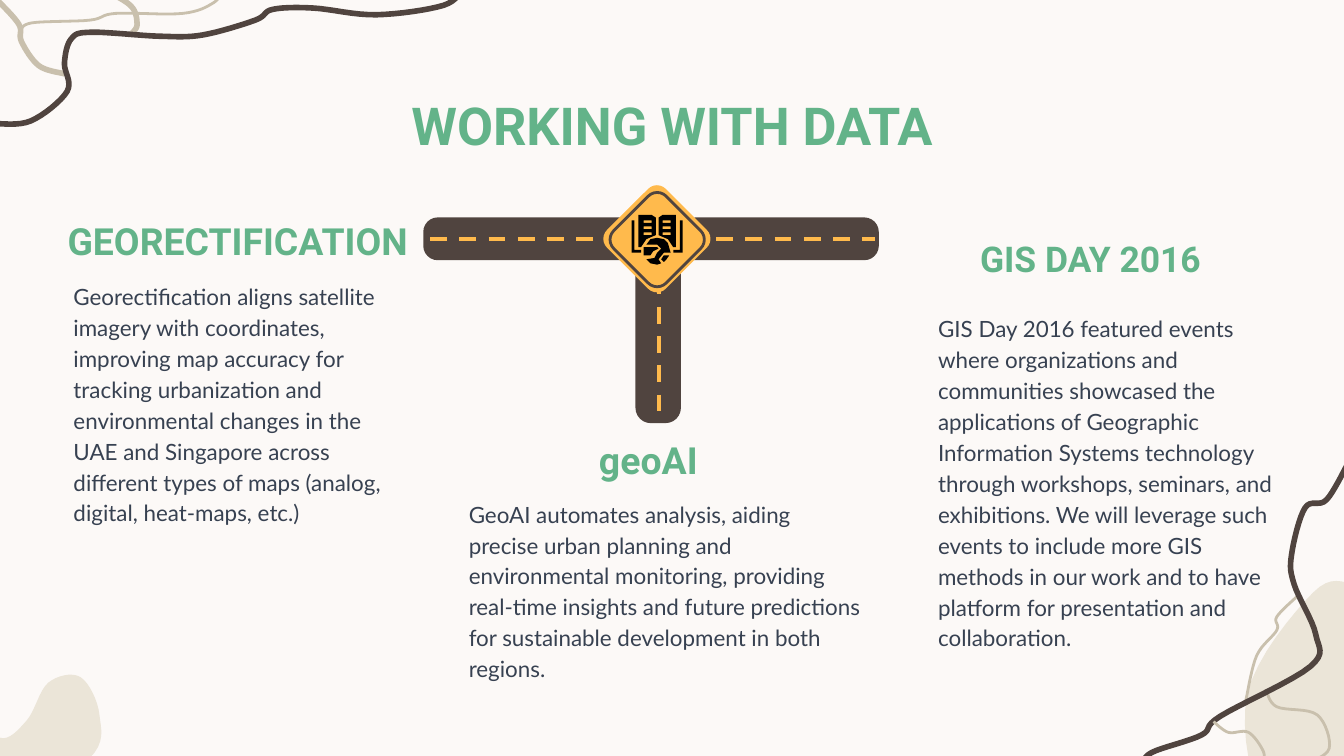
import lxml.etree
import pptx
import pptx.dml.color
import pptx.enum.dml
import pptx.enum.shapes
import pptx.enum.text
import pptx.oxml.ns
import pptx.util

Cm = pptx.util.Cm
Pt = pptx.util.Pt
RGBColor = pptx.dml.color.RGBColor
SHAPE = pptx.enum.shapes.MSO_SHAPE
ANCHOR = pptx.enum.text.MSO_ANCHOR

CREAM = RGBColor(0xFC, 0xF9, 0xF7)
SAND = RGBColor(0xEB, 0xE5, 0xD8)
KHAKI = RGBColor(0xC9, 0xC0, 0xAD)
ASPHALT = RGBColor(0x50, 0x44, 0x3F)
AMBER = RGBColor(0xFF, 0xBA, 0x4C)
GREEN = RGBColor(0x63, 0xB3, 0x89)
SLATE = RGBColor(0x37, 0x41, 0x51)
BLACK = RGBColor(0, 0, 0)

UNIT = Cm(2.54) / 100  # grid unit of the outlines below
STEPS = 8  # straight pieces between two knots

deck = pptx.Presentation()
deck.slide_width = Cm(25.4)
deck.slide_height = Cm(14.29)
page = deck.slides.add_slide(deck.slide_layouts[6])
page.background.fill.solid()
page.background.fill.fore_color.rgb = CREAM


def smooth(knots, closed=False):
    """Run a Catmull-Rom spline through the knots."""
    if closed:
        knots = [knots[-1], *knots, *knots[:2]]
    else:
        knots = [knots[0], *knots, knots[-1]]
    points = [knots[1]]
    for a, b, c, d in zip(knots, knots[1:], knots[2:], knots[3:]):
        for step in range(1, STEPS + 1):
            t = step / STEPS
            points.append(tuple(
                b[i] + t / 2 * (c[i] - a[i] + t * (2 * a[i] - 5 * b[i] + 4 * c[i] - d[i]
                                + t * (3 * (b[i] - c[i]) + d[i] - a[i])))
                for i in (0, 1)))
    return points


def outline(contours, color, width=None):
    """Draw filled closed contours, or open strokes when a width is given."""
    builder = None
    for contour in contours:
        points = [(x * UNIT, y * UNIT) for x, y in contour]
        if builder is None:
            builder = page.shapes.build_freeform(*points[0])
        else:
            builder.move_to(*points[0])
        builder.add_line_segments(points[1:], close=width is None)
    shape = builder.convert_to_shape()
    shape.shadow.inherit = False
    if width is None:
        shape.fill.solid()
        shape.fill.fore_color.rgb = color
        shape.line.fill.background()
    else:
        shape.fill.background()
        shape.line.color.rgb = color
        shape.line.width = Pt(width)


# Corner decoration: blobs, then wavy strokes
blobs = [
    [(1038, 450), (1009, 435), (977, 441), (928, 517), (943, 605), (1000, 640),
     (1083, 630), (1110, 565)],
    [(-60, 489), (-92, 549), (-5, 609), (66, 565), (74, 532), (60, 504), (36, 508),
     (20, 536), (0, 549), (-21, 522)],
]
for blob in blobs:
    outline([smooth(blob, closed=True)], SAND)
strokes = [
    (KHAKI, 3, [(98, 25), (102, 18), (97, 4), (73, -10)]),
    (KHAKI, 1.5, [(942, 513), (950, 526), (980, 532), (989, 557), (971, 569)]),
    (KHAKI, 1.5, [(966, 443), (950, 459), (950, 469), (935, 488), (927, 521)]),
    (ASPHALT, 3, [(1003, 345), (987, 372), (971, 378), (961, 413), (963, 435), (979, 472),
                  (975, 496), (908, 533), (894, 547), (857, 560), (850, 570)]),
    (KHAKI, 1.5, [(903, 537), (914, 545), (929, 545), (940, 559), (940, 569)]),
    (KHAKI, 3, [(48, 55), (29, 49), (16, 31), (14, 18), (-3, -1)]),
    (ASPHALT, 3, [(-5, 92), (23, 90), (50, 68), (48, 47), (53, 29), (68, 24), (119, 27),
                  (151, 26), (190, 15), (203, 7), (233, 6), (280, 11), (330, 4), (345, -9)]),
    (KHAKI, 1.5, [(15, 23), (24, 17), (67, 15), (86, 10), (136, 10), (159, 2), (167, -9)]),
]
for color, width, knots in strokes:
    outline([smooth(knots)], color, width)

# Road junction: each arm with its dashed centre line
arms = [
    ((12.01, 4.04, 0.86, 3.96), (12.45, 4.14, 12.45, 7.92)),
    ((12.88, 4.11, 3.73, 0.81), (12.98, 4.52, 16.54, 4.52)),
    ((8, 4.11, 4.88, 0.81), (8.13, 4.52, 12.78, 4.52)),
]
for place, ends in arms:
    road = page.shapes.add_shape(SHAPE.ROUNDED_RECTANGLE, *map(Cm, place))
    road.adjustments[0] = 0.34
    road.shadow.inherit = False
    road.fill.solid()
    road.fill.fore_color.rgb = ASPHALT
    road.line.fill.background()
    dashes = page.shapes.add_connector(
        pptx.enum.shapes.MSO_CONNECTOR.STRAIGHT, *map(Cm, ends))
    dashes.line.color.rgb = AMBER
    dashes.line.width = Pt(2.25)
    dashes.line.dash_style = pptx.enum.dml.MSO_LINE.DASH
    lxml.etree.SubElement(dashes._element.spPr, pptx.oxml.ns.qn("a:effectLst"))

# Road sign: amber plate, then its inner border
for left, top, size, corner, is_plate in [
        (11.63, 3.73, 1.57, 0.15, True), (11.72, 3.83, 1.4, 0.17, False)]:
    sign = page.shapes.add_shape(
        SHAPE.ROUNDED_RECTANGLE, Cm(left), Cm(top), Cm(size), Cm(size))
    sign.rotation = 45
    sign.adjustments[0] = corner
    sign.shadow.inherit = False
    if is_plate:
        sign.fill.solid()
        sign.fill.fore_color.rgb = AMBER
        sign.line.fill.background()
    else:
        sign.fill.background()
        sign.line.color.rgb = ASPHALT
        sign.line.width = Pt(1.5)

# Sign icon: open book, mirrored about its spine, over a globe
book_page = [[(475, 160), (475, 184), (477, 184), (481, 178), (488, 175), (488, 162), (485, 160)]]
for top in (164, 168.5, 173):
    book_page.append([(485, top), (485, top + 2), (479, top + 2), (479, top)])
book_cover = [[(470, 164), (470, 188), (477, 188), (477, 186), (472, 186), (472, 164)]]
for part in (book_page, book_cover):
    outline(part, BLACK)
    outline([[(978 - x, y) for x, y in contour] for contour in part], BLACK)
globe = [
    [(494, 190), (492, 193), (494, 195), (496, 193), (498, 190)],
    [(489, 177), (484, 178), (481, 182), (489, 182), (492, 185), (489, 188), (487, 192),
     (481, 193), (484, 196), (489, 197), (492, 196), (490, 193), (494, 188), (499, 188),
     (497, 181), (494, 178)],
    [(479, 184), (479, 190), (484, 190), (486, 187), (490, 185), (489, 184)],
]
outline(globe, BLACK)

# Title, body texts and headings
texts = [
    ("WORKING WITH DATA", (2.11, 1.55, 21.18, 1.6), 28, ANCHOR.MIDDLE),
    ("GeoAI automates analysis, aiding precise urban planning and environmental monitoring, "
     "providing real-time insights and future predictions for sustainable development in both "
     "regions.", (8.61, 9.14, 8, 1.6), 12, ANCHOR.TOP),
    ("Georectification aligns satellite imagery with coordinates, improving map accuracy for "
     "tracking urbanization and environmental changes in the UAE and Singapore across different "
     "types of maps (analog, digital, heat-maps, etc.)", (1.14, 5.03, 6.73, 1.6), 12, ANCHOR.TOP),
    ("GIS Day 2016 featured events where organizations and communities showcased the "
     "applications of Geographic Information Systems technology through workshops, seminars, "
     "and exhibitions. We will leverage such events to include more GIS methods in our work and "
     "to have platform for presentation and collaboration.",
     (17.48, 5.64, 7.01, 1.6), 12, ANCHOR.TOP),
    ("GEORECTIFICATION", (0.99, 4.29, 7.01, 0.94), 20, ANCHOR.BOTTOM),
    ("geoAI", (9.45, 8.43, 5.61, 0.94), 20, ANCHOR.BOTTOM),
    ("GIS DAY 2016", (17.37, 4.6, 6.48, 0.94), 19, ANCHOR.BOTTOM),
]
for words, place, size, anchor in texts:
    is_body = anchor == ANCHOR.TOP
    frame = page.shapes.add_textbox(*map(Cm, place)).text_frame
    frame.word_wrap = True
    frame.vertical_anchor = anchor
    frame.margin_left = frame.margin_right = Cm(0.25)
    frame.margin_top = frame.margin_bottom = Cm(0.25)
    frame.text = words
    para = frame.paragraphs[0]
    if is_body:
        para.line_spacing = 1.15
    else:
        para.alignment = pptx.enum.text.PP_ALIGN.CENTER
    span = para.runs[0]
    span.font.name = "Lato" if is_body else "Roboto"
    span.font.size = Pt(size)
    span.font.bold = not is_body
    span.font.color.rgb = SLATE if is_body else GREEN

deck.save("out.pptx")
